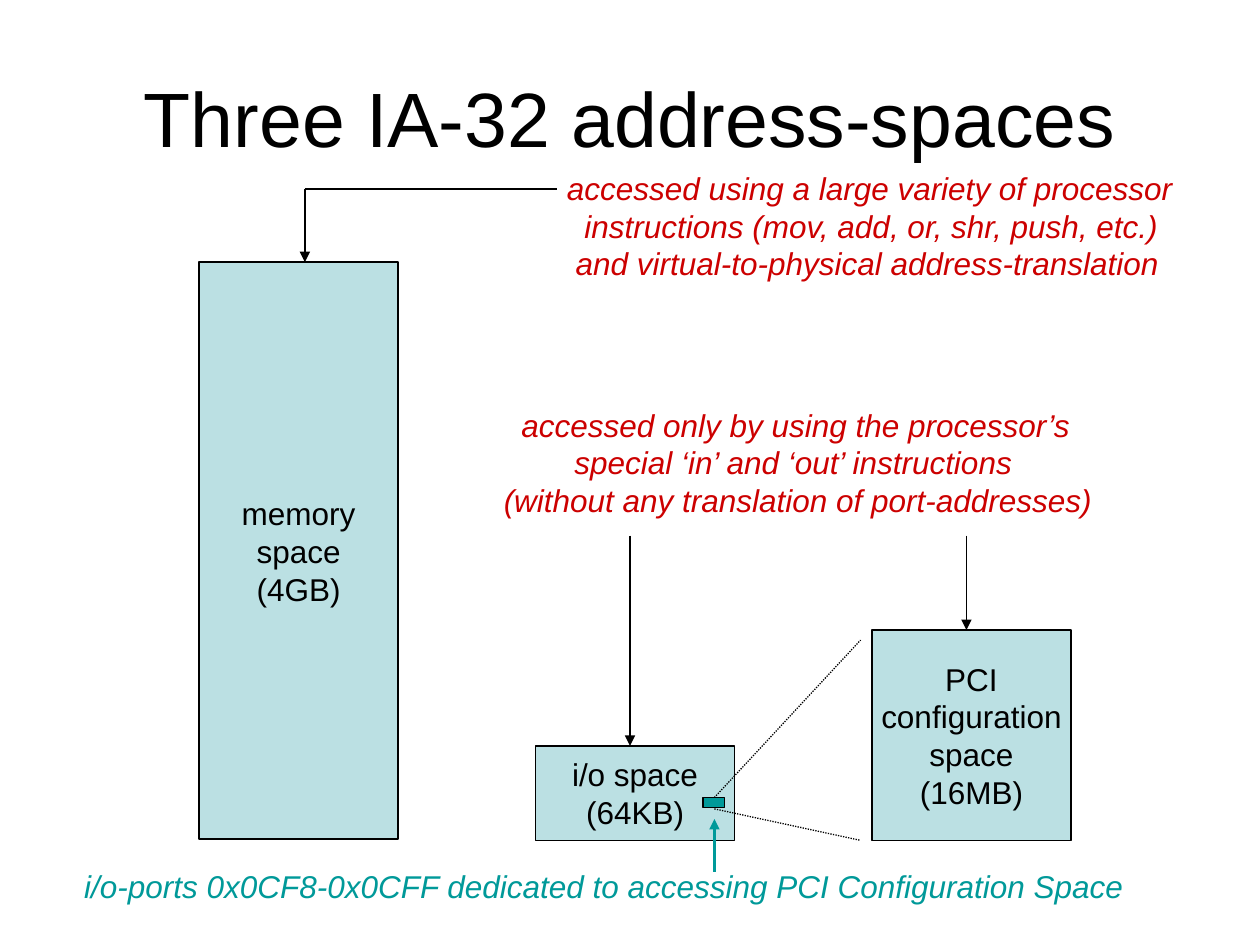
"""Builds the slide on the three IA-32 address-spaces."""
import pptx
import pptx.util
import pptx.dml.color
import pptx.enum.dml
import pptx.enum.shapes
import pptx.enum.text
import pptx.oxml
import pptx.oxml.ns

Inches, Pt = pptx.util.Inches, pptx.util.Pt
PP_ALIGN, ANCHOR = pptx.enum.text.PP_ALIGN, pptx.enum.text.MSO_ANCHOR
BLACK, RED, TEAL, PALE = "000000", "CC0000", "009999", "BBE0E3"
THIN, THICK = 0.74, 1.5

TITLE = "Three IA-32 address-spaces"
SPACES = [
    (1.58, 2.08, 4.58, ["memory", "space", "(4GB)"]),
    (4.25, 5.92, 0.75, ["i/o space", "(64KB)"]),
    (6.92, 5, 1.67, ["PCI", "configuration", "space", "(16MB)"]),
]
SPACE_WIDTH = 1.58
NOTES = [
    ((4.4, 1.29, 5.01, 1), RED, [
        (0, "accessed using a large variety of processor"),
        (0.14, "instructions (mov, add, or, shr, push, etc.)"),
        (0.07, "and virtual-to-physical address-translation")]),
    ((3.83, 3.17, 4.94, 1), RED, [
        (0.21, "accessed only by using the processor’s"),
        (0.63, "special ‘in’ and ‘out’ instructions"),
        (0.07, "(without any translation of port-addresses)")]),
    ((0.5, 6.83, 8.66, 0.4), TEAL, [
        (0.07, "i/o-ports 0x0CF8-0x0CFF dedicated to accessing PCI Configuration Space")]),
]
PORTS = (5.58, 6.33, 0.17, 0.08)
LINES = [
    ((2.42, 1.5, 2.42, 2.08), BLACK, THIN, "arrow"),
    ((2.42, 1.5, 4.42, 1.5), BLACK, THIN, "plain"),
    ((5, 4.25, 5, 5.92), BLACK, THIN, "arrow"),
    ((7.67, 4.25, 7.67, 5), BLACK, THIN, "arrow"),
    ((5.67, 6.33, 6.83, 5.08), BLACK, THIN, "dotted"),
    ((5.67, 6.42, 6.83, 6.67), BLACK, THIN, "dotted"),
    ((5.67, 6.92, 5.67, 6.5), TEAL, THICK, "arrow"),
]


def rgb(color):
    """Turn a hex string into a colour."""
    return pptx.dml.color.RGBColor.from_string(color)


def write(p, text, color, size=18, **extra):
    """Write one formatted run into a paragraph."""
    r = p.add_run()
    r.text = text
    for name, value in dict(name="Arial", size=Pt(size), **extra).items():
        setattr(r.font, name, value)
    r.font.color.rgb = rgb(color)


def fill_text(tf, lines, color, align, **extra):
    """Write lines, each with its left indent, into a text frame."""
    for i, (indent, text) in enumerate(lines):
        p = tf.paragraphs[0] if i == 0 else tf.add_paragraph()
        p.alignment, p.line_spacing = align, Pt(21.6)
        if indent:
            p._p.get_or_add_pPr().set("marL", str(Inches(indent)))
        write(p, text, color, **extra)


def add_box(box, fill):
    """Add an outlined rectangle."""
    sp = shapes.add_shape(pptx.enum.shapes.MSO_SHAPE.RECTANGLE, *map(Inches, box))
    sp.shadow.inherit = False
    sp.fill.solid()
    sp.fill.fore_color.rgb = rgb(fill)
    sp.line.color.rgb = rgb(BLACK)
    sp.line.width = Pt(THIN)
    return sp


def add_line(ends, color, width, style):
    """Add a plain, dotted or arrow-headed line."""
    line = shapes.add_connector(pptx.enum.shapes.MSO_CONNECTOR.STRAIGHT, *map(Inches, ends))
    line.line.color.rgb = rgb(color)
    line.line.width = Pt(width)
    if style == "dotted":
        line.line.dash_style = pptx.enum.dml.MSO_LINE.ROUND_DOT
    if style == "arrow":
        tail = pptx.oxml.parse_xml("<a:tailEnd %s type='triangle'/>" % pptx.oxml.ns.nsdecls("a"))
        line.line._get_or_add_ln().append(tail)
    effects = pptx.oxml.parse_xml("<a:effectLst %s/>" % pptx.oxml.ns.nsdecls("a"))
    line._element.spPr.append(effects)


prs = pptx.Presentation()
prs.slide_width, prs.slide_height = Inches(10), Inches(7.5)
slide = prs.slides.add_slide(prs.slide_layouts[5])
shapes = slide.shapes

title = shapes.title
title.left, title.top, title.width, title.height = map(Inches, (0.5, 0.3, 9, 1.25))
title.text_frame.vertical_anchor = ANCHOR.MIDDLE
title.text_frame.paragraphs[0].alignment = PP_ALIGN.CENTER
write(title.text_frame.paragraphs[0], TITLE, BLACK, size=44)

for left, top, height, lines in SPACES:
    tf = add_box((left, top, SPACE_WIDTH, height), PALE).text_frame
    tf.word_wrap, tf.vertical_anchor = False, ANCHOR.MIDDLE
    fill_text(tf, [(0, text) for text in lines], BLACK, PP_ALIGN.CENTER)

for box, color, lines in NOTES:
    tf = shapes.add_textbox(*map(Inches, box)).text_frame
    tf.word_wrap, tf.margin_right = True, 0
    fill_text(tf, lines, color, PP_ALIGN.LEFT, italic=True)

for line in LINES:
    add_line(*line)
add_box(PORTS, TEAL)

prs.save("out.pptx")
